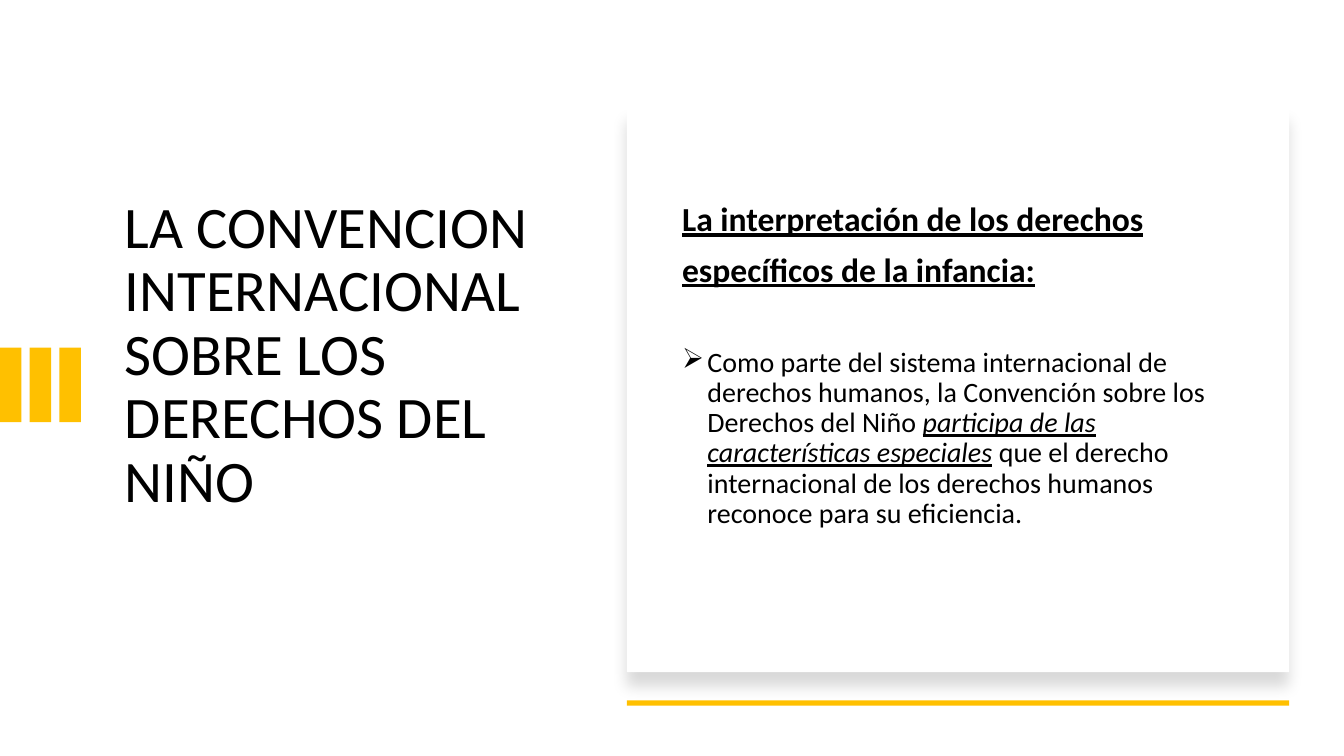
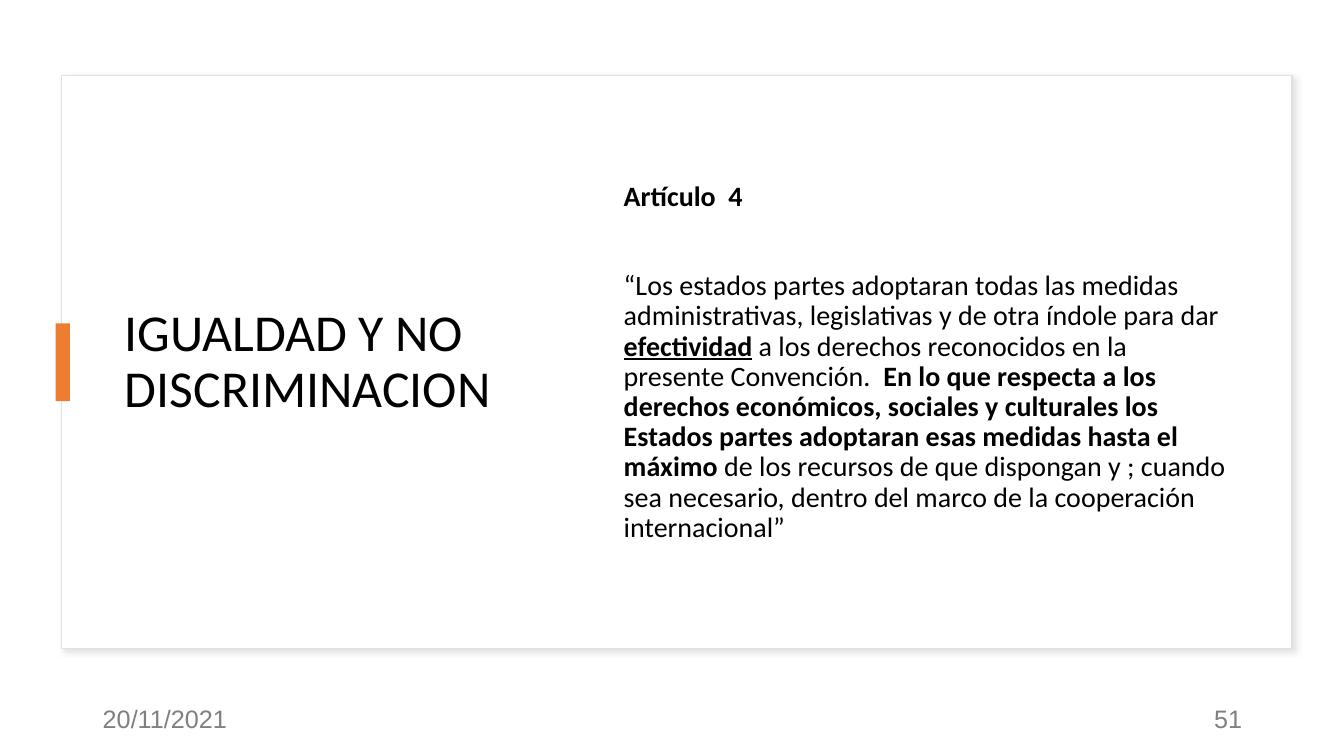
from lxml import etree
from pptx import Presentation
from pptx.dml.color import RGBColor
from pptx.enum.shapes import MSO_SHAPE
from pptx.enum.text import MSO_ANCHOR, PP_ALIGN
from pptx.oxml.ns import qn
from pptx.util import Cm, Pt

BLACK = RGBColor(0x00, 0x00, 0x00)
WHITE = RGBColor(0xFF, 0xFF, 0xFF)
GRAY = RGBColor(0x80, 0x80, 0x80)
BORDER = RGBColor(0xE1, 0xE1, 0xE1)
CARD_SHADOW = RGBColor(0xC5, 0xC3, 0xC3)
AMBER = RGBColor(0xFF, 0xC0, 0x00)
ORANGE = RGBColor(0xED, 0x7D, 0x31)

RECTANGLE = MSO_SHAPE.RECTANGLE
MIDDLE = MSO_ANCHOR.MIDDLE
LEFT, RIGHT = PP_ALIGN.LEFT, PP_ALIGN.RIGHT

TITLE_FONT = BODY_FONT = "Calibri"
FOOTER_FONT = "Arial"
BODY_SIZE = 20
TITLE_LEFT = 2.9
PARA_GAP = 10
SECTION_GAP = 42
BULLET_INDENT = Cm(0.64)


def add_rectangle(page, left, top, width, height, fill):
    box = page.shapes.add_shape(
        RECTANGLE, Cm(left), Cm(top), Cm(width), Cm(height))
    box.fill.solid()
    box.fill.fore_color.rgb = fill
    box.line.fill.background()
    box.shadow.inherit = False
    return box


def add_shadow(box, color, opacity, blur, distance, angle):
    """Opacity is a percentage, blur and distance are points, angle is degrees."""
    effects = box.element.spPr.find(qn("a:effectLst"))
    shadow = etree.SubElement(
        effects, qn("a:outerShdw"), blurRad=str(Pt(blur)),
        dist=str(Pt(distance)), dir=str(angle * 60000),
        algn="tl", rotWithShape="0")
    tint = etree.SubElement(shadow, qn("a:srgbClr"), val=str(color))
    etree.SubElement(tint, qn("a:alpha"), val=str(opacity * 1000))


def add_text_frame(page, left, top, width, height):
    box = page.shapes.add_textbox(Cm(left), Cm(top), Cm(width), Cm(height))
    frame = box.text_frame
    frame.word_wrap = True
    frame.vertical_anchor = MIDDLE
    return frame


def style_paragraph(para, size, font, color=BLACK, align=LEFT):
    para.alignment = align
    para.line_spacing = 0.9
    para.font.size = Pt(size)
    para.font.name = font
    para.font.color.rgb = color


def add_line(page, area, text, size, font, color=BLACK, align=LEFT):
    """Add a text box that holds one paragraph in one style."""
    para = add_text_frame(page, *area).paragraphs[0]
    para.text = text
    style_paragraph(para, size, font, color, align)


def add_title(page, text, size, top, width, height):
    add_line(page, (TITLE_LEFT, top, width, height), text, size, TITLE_FONT)


def add_bullet(para, mark):
    properties = para._p.get_or_add_pPr()
    properties.set("marL", str(BULLET_INDENT))
    properties.set("indent", str(-BULLET_INDENT))
    etree.SubElement(properties, qn("a:buChar"), char=mark)


def add_body(page, area, paragraphs):
    """Each paragraph is (size, space before, bullet, spans).

    A span is (text, style), where style holds any of the letters b, i, u.
    """
    frame = add_text_frame(page, *area)
    for index, (size, gap, bullet, spans) in enumerate(paragraphs):
        para = frame.add_paragraph() if index else frame.paragraphs[0]
        style_paragraph(para, size, BODY_FONT)
        para.space_before = Pt(gap)
        if bullet:
            add_bullet(para, bullet)
        for text, style in spans:
            span = para.add_run()
            span.text = text
            span.font.bold = "b" in style
            span.font.italic = "i" in style
            span.font.underline = "u" in style


def add_footer(page, date, number):
    for left, text, align in ((2.34, date, LEFT), (23.93, number, RIGHT)):
        add_line(page, (left, 17.65, 7.62, 1.02), text, 18, FOOTER_FONT,
                 GRAY, align)


def build_convention(page):
    add_title(page, "LA CONVENCION INTERNACIONAL SOBRE LOS DERECHOS DEL NIÑO",
              42, 3.81, 10.82, 10.33)
    for index in range(3):
        add_rectangle(page, index * 0.75, 8.76, 0.54, 1.88, AMBER)

    card_left, card_width = 15.8, 16.69
    card = add_rectangle(page, card_left, 2.72, card_width, 14.22, WHITE)
    add_shadow(card, BLACK, 15, 11, 10, 90)
    add_body(page, (16.94, 3.81, 14.5, 10.83), [
        (24, PARA_GAP, None, [("La interpretación de los derechos", "bu")]),
        (24, PARA_GAP, None, [("específicos de la infancia:", "bu")]),
        (BODY_SIZE, SECTION_GAP, "➢", [
            ("Como parte del sistema internacional de derechos humanos, "
             "la Convención sobre los Derechos del Niño ", ""),
            ("participa de las características especiales", "iu"),
            (" que el derecho internacional de los derechos humanos "
             "reconoce para su eficiencia.", ""),
        ]),
    ])
    add_rectangle(page, card_left, 17.65, card_width, 0.13, AMBER)


def build_equality(page):
    card = add_rectangle(page, 1.55, 1.9, 31.01, 14.45, WHITE)
    card.line.color.rgb = BORDER
    card.line.width = Pt(1)
    add_shadow(card, CARD_SHADOW, 50, 4, 3, 45)

    text_top, text_height = 3.05, 12.19
    add_title(page, "IGUALDAD Y NO DISCRIMINACION",
              37, text_top, 10.19, text_height)
    add_rectangle(page, 1.4, 8.15, 0.36, 1.96, ORANGE)
    add_body(page, (15.47, text_top, 15.75, text_height), [
        (BODY_SIZE, PARA_GAP, None, [("Artículo  4", "b")]),
        (BODY_SIZE, SECTION_GAP, None, [
            ("“Los estados partes adoptaran todas las medidas "
             "administrativas, legislativas y de otra índole para dar ", ""),
            ("efectividad", "bu"),
            (" a los derechos reconocidos en la presente Convención.  ", ""),
            ("En lo que respecta a los derechos económicos, sociales y "
             "culturales los Estados partes adoptaran esas medidas hasta "
             "el máximo", "b"),
            (" de los recursos de que dispongan y ; cuando sea necesario, "
             "dentro del marco de la cooperación internacional”", ""),
        ]),
    ])
    add_footer(page, "20/11/2021", "51")


def main():
    deck = Presentation()
    deck.slide_width, deck.slide_height = Cm(33.87), Cm(19.05)
    blank = deck.slide_layouts[6]
    for build in (build_convention, build_equality):
        build(deck.slides.add_slide(blank))
    deck.save("out.pptx")


if __name__ == "__main__":
    main()
